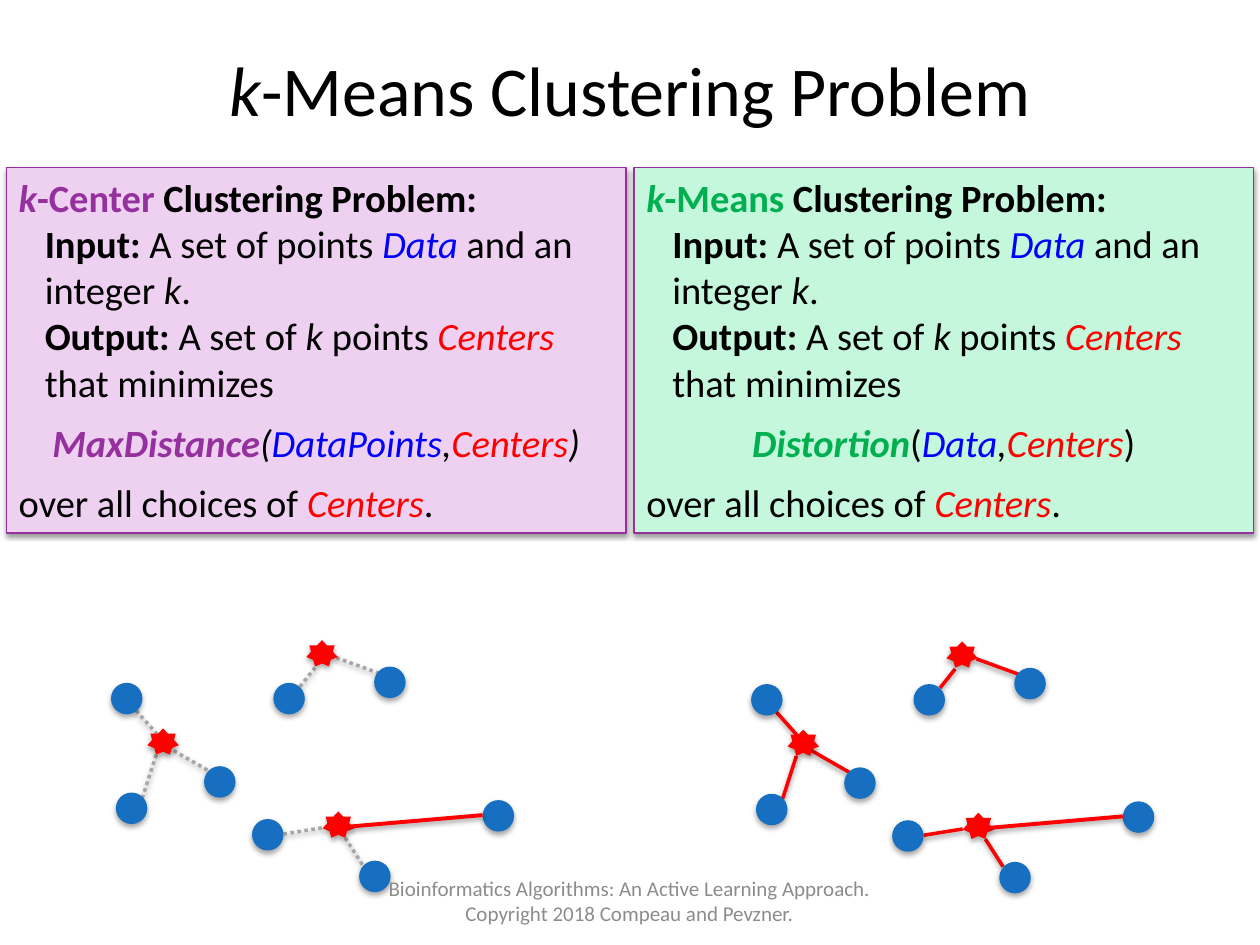
from pptx import Presentation
from pptx.dml.color import RGBColor
from pptx.enum.dml import MSO_LINE
from pptx.enum.shapes import MSO_CONNECTOR, MSO_SHAPE
from pptx.enum.text import MSO_ANCHOR, PP_ALIGN
from pptx.oxml.ns import qn
from pptx.util import Pt
from lxml import etree

RECT, DOT, STAR = MSO_SHAPE.RECTANGLE, MSO_SHAPE.OVAL, MSO_SHAPE.STAR_7_POINT
STRAIGHT = MSO_CONNECTOR.STRAIGHT
DOTTED = MSO_LINE.ROUND_DOT
LEFT, CENTER = PP_ALIGN.LEFT, PP_ALIGN.CENTER
TOP, MIDDLE = MSO_ANCHOR.TOP, MSO_ANCHOR.MIDDLE

FONT = "Calibri"
COLORS = {
    "black": "000000", "blue": "0000FF", "red": "FF0000", "gray": "A6A6A6",
    "footer": "8C8C8C", "point": "176FC1", "purple": "95319E",
    "green": "00B050", "lilac": "EED1F1", "mint": "C4F7DB", "border": "95319E",
}

# A run is (text, color, style), with style letters b = bold and i = italic.
TITLE = [("k", "black", "i"), ("-Means Clustering Problem", "black", "")]
FOOTER = [("Bioinformatics Algorithms: An Active Learning Approach. "
           "Copyright 2018 Compeau and Pevzner.", "footer", "")]
INPUT = [("Input:", "black", "b"), (" A set of points ", "black", ""),
         ("Data", "blue", "i"), (" and an\vinteger ", "black", ""),
         ("k", "black", "i"), (".", "black", "")]
OUTPUT = [("Output:", "black", "b"), (" A set of ", "black", ""),
          ("k", "black", "i"), (" points ", "black", ""),
          ("Centers", "red", "i"), ("\vthat minimizes", "black", "")]
CLOSING = [("over all choices of ", "black", ""), ("Centers", "red", "i"),
           (".", "black", "")]
PROBLEMS = [
    {"name": "-Center", "accent": "purple", "fill": "lilac",
     "objective": "MaxDistance", "data": "DataPoints", "bracket_style": "i"},
    {"name": "-Means", "accent": "green", "fill": "mint",
     "objective": "Distortion", "data": "Data", "bracket_style": ""},
]
BOX_LEFT, BOX_TOP, BOX_WIDTH, BOX_HEIGHT, BOX_GAP = 3.6, 95.8, 354.2, 208.8, 4.4
INPUT_INDENT = 14.9

# Coordinates of the left-hand diagram, in points.
POINTS = [(63.4, 390.2), (66.2, 452.9), (116.6, 437.8), (213.8, 380.9),
          (156.2, 390.2), (144, 468), (205.2, 491.8), (275.8, 457.2)]
CENTERS = [(175, 365.8), (184.3, 463.7), (84.2, 416.2)]
SHORT_EDGES = [
    (77.8, 406.1, 90, 419.8), (95.8, 427, 119.5, 440.6),
    (89.3, 431.3, 81.4, 455.8), (162, 476.6, 184.3, 473),
    (197.3, 478.8, 207.4, 494.6), (171.4, 392.4, 180, 381.6),
    (192.2, 375.8, 216, 384.5),
]
LONGEST_EDGE = (200.2, 472.3, 275.8, 465.8)
POINT_SIZE, CENTER_SIZE = (18, 18), (18, 15)
DIAGRAMS = [  # offset x, offset y, color and dash of the short edges
    (0, 0, "gray", DOTTED),
    (365.8, 0.7, "red", None),
]


def rgb(name):
    return RGBColor.from_string(COLORS[name])


def add_shadow(effects, distance, opacity):
    """Fill an empty a:effectLst with a soft shadow cast straight down."""
    shadow = etree.SubElement(
        effects, qn("a:outerShdw"), blurRad=str(Pt(3.1)), dist=str(Pt(distance)),
        dir="5400000", rotWithShape="0")
    color = etree.SubElement(shadow, qn("a:srgbClr"), val=COLORS["black"])
    etree.SubElement(color, qn("a:alpha"), val=str(opacity * 1000))


def add_runs(paragraph, runs, size, align=LEFT):
    paragraph.alignment = align
    for text, color, style in runs:
        for i, part in enumerate(text.split("\v")):
            if i:
                paragraph.add_line_break()
            if not part:
                continue
            run = paragraph.add_run()
            run.text = part
            font = run.font
            font.name, font.size = FONT, Pt(size)
            font.bold, font.italic = "b" in style, "i" in style
            font.color.rgb = rgb(color)


def add_solid(shapes, kind, box, fill, border=None, distance=1.8, opacity=35):
    shape = shapes.add_shape(kind, *map(Pt, box))
    shape.fill.solid()
    shape.fill.fore_color.rgb = rgb(fill)
    if border:
        shape.line.color.rgb = rgb(border)
        shape.line.width = Pt(0.75)
    else:
        shape.line.fill.background()
    shape.shadow.inherit = False
    add_shadow(shape._element.spPr.find(qn("a:effectLst")), distance, opacity)
    return shape


def add_edge(shapes, ends, color, width, dash=None):
    edge = shapes.add_connector(STRAIGHT, *map(Pt, ends))
    edge.line.color.rgb = rgb(color)
    edge.line.width = Pt(width)
    if dash:
        edge.line.dash_style = dash
    effects = etree.SubElement(edge._element.spPr, qn("a:effectLst"))
    add_shadow(effects, 1.6, 38)


def add_diagram(slide, dx, dy, edge_color, dash):
    shapes = slide.shapes.add_group_shape().shapes

    def moved(ends):
        x1, y1, x2, y2 = ends
        return x1 + dx, y1 + dy, x2 + dx, y2 + dy

    for ends in SHORT_EDGES:
        add_edge(shapes, moved(ends), edge_color, 2, dash)
    for kind, places, size, fill in ((DOT, POINTS, POINT_SIZE, "point"),
                                     (STAR, CENTERS, CENTER_SIZE, "red")):
        for x, y in places:
            add_solid(shapes, kind, (x + dx, y + dy, *size), fill)
    add_edge(shapes, moved(LONGEST_EDGE), "red", 2.25)


def add_problem(slide, left, problem):
    accent, bracket = problem["accent"], problem["bracket_style"]
    heading = [("k", accent, "bi"), (problem["name"], accent, "b"),
               (" Clustering Problem:", "black", "b")]
    objective = [(problem["objective"], accent, "bi"), ("(", "black", bracket),
                 (problem["data"], "blue", "i"), (",", "black", "i"),
                 ("Centers", "red", "i"), (")", "black", bracket)]
    paragraphs = [  # runs, indent, alignment, line spacing
        (heading, 0, LEFT, 1), (INPUT, INPUT_INDENT, LEFT, 1),
        (OUTPUT, INPUT_INDENT, LEFT, 1), (objective, 0, CENTER, 1.3),
        (CLOSING, 0, LEFT, 1.3),
    ]
    box = add_solid(slide.shapes, RECT, (left, BOX_TOP, BOX_WIDTH, BOX_HEIGHT),
                    problem["fill"], "border", 1.6, 38)
    frame = box.text_frame
    frame.word_wrap = True
    frame.vertical_anchor = TOP
    for i, (runs, indent, align, spacing) in enumerate(paragraphs):
        paragraph = frame.add_paragraph() if i else frame.paragraphs[0]
        paragraph.line_spacing = spacing
        if indent:
            paragraph._p.get_or_add_pPr().set("marL", str(Pt(indent)))
        add_runs(paragraph, runs, 22, align)


def main():
    deck = Presentation()
    deck.slide_width, deck.slide_height = Pt(720), Pt(540)
    slide = deck.slides.add_slide(deck.slide_layouts[5])

    title = slide.shapes.title
    title.left, title.top, title.width, title.height = map(Pt, (36, 5.8, 648, 90))
    title.text_frame.vertical_anchor = MIDDLE
    add_runs(title.text_frame.paragraphs[0], TITLE, 40, CENTER)

    for i, problem in enumerate(PROBLEMS):
        add_problem(slide, BOX_LEFT + i * (BOX_WIDTH + BOX_GAP), problem)
    for diagram in DIAGRAMS:
        add_diagram(slide, *diagram)

    footer = slide.shapes.add_textbox(*map(Pt, (203.8, 500.4, 311.8, 28.8)))
    footer.text_frame.word_wrap = True
    footer.text_frame.vertical_anchor = MIDDLE
    add_runs(footer.text_frame.paragraphs[0], FOOTER, 12, CENTER)

    deck.save("out.pptx")


if __name__ == "__main__":
    main()
